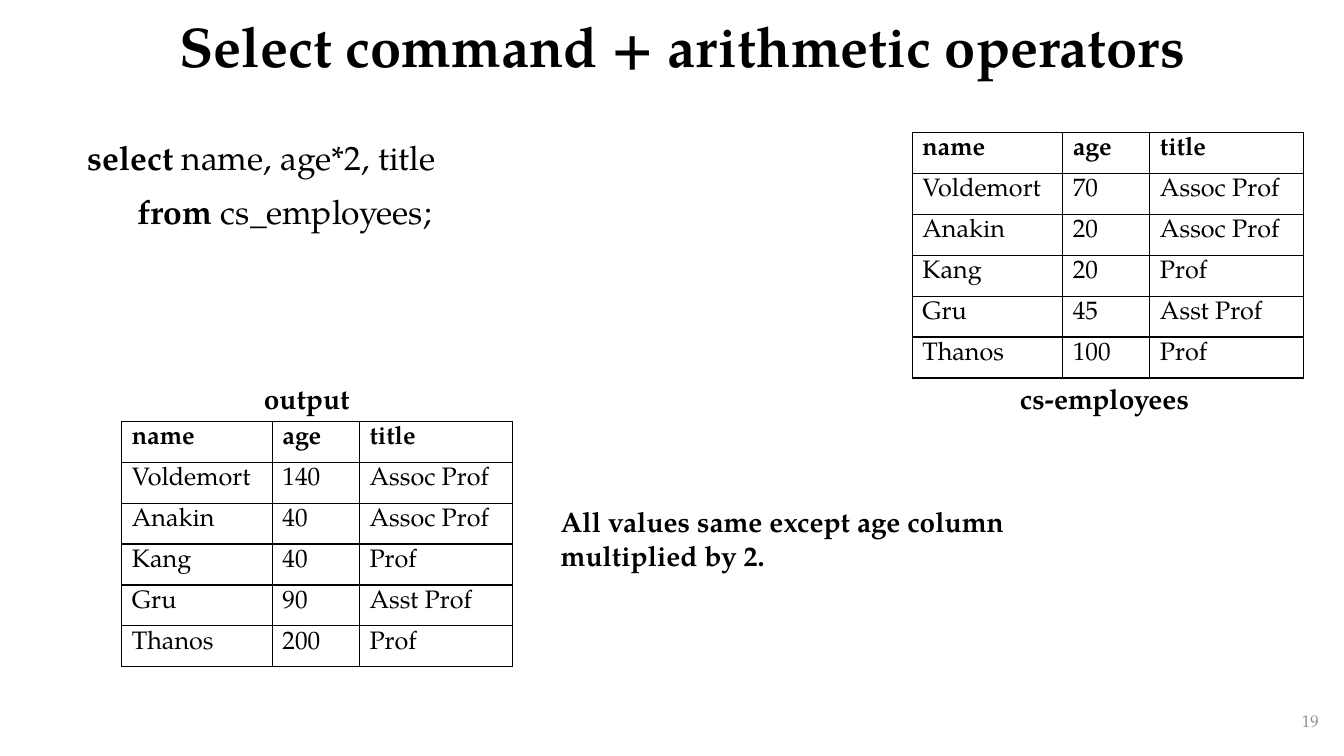
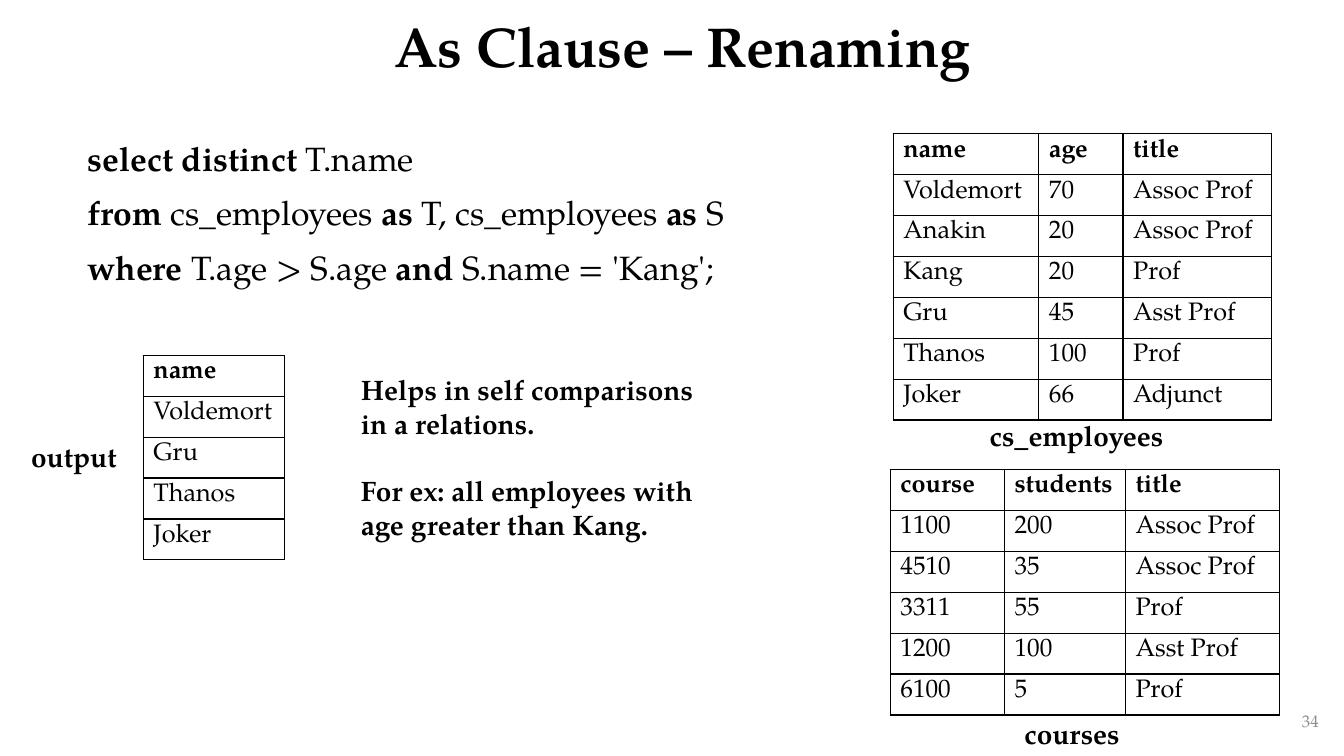
import pptx
import pptx.dml.color
import pptx.enum.text
import pptx.oxml
import pptx.oxml.ns
import pptx.util

Pt = pptx.util.Pt
ALIGN = pptx.enum.text.PP_ALIGN
ANCHOR = pptx.enum.text.MSO_ANCHOR

FONT = "TeX Gyre Pagella"
INK = "000000"
GREY = "8C8C8C"
TITLE_BOX = (73.4, 0, 828, 70.6)
NUMBER_BOX = (733, 500.4, 216, 28.8)
ROW_H = 29.2
EMPLOYEE_COLS = (107.6, 62.2, 109.6)


def color(value):
    return pptx.dml.color.RGBColor.from_string(value)


def style(font, size, bold=None, ink=INK):
    font.name = FONT
    font.size = Pt(size)
    font.bold = bold
    font.color.rgb = color(ink)


def add_text(slide, box, lines, size, bold=True, ink=INK, align=ALIGN.LEFT,
             anchor=ANCHOR.TOP, gap=0, spacing=None):
    sp = slide.shapes.add_textbox(*map(Pt, box))
    tf = sp.text_frame
    tf.word_wrap = True
    tf.vertical_anchor = anchor
    for i, line in enumerate(lines):
        p = tf.paragraphs[0] if i == 0 else tf.add_paragraph()
        style(p.font, size, bold, ink)
        p.alignment = align
        p.line_spacing = spacing
        p.space_before = Pt(gap if i else 0)
        p.add_run().text = line


def add_query(slide, box, lines):
    tf = slide.shapes.add_textbox(*map(Pt, box)).text_frame
    tf.word_wrap = True
    for i, parts in enumerate(lines):
        p = tf.paragraphs[0] if i == 0 else tf.add_paragraph()
        style(p.font, 24)
        p.alignment = ALIGN.JUSTIFY
        p.space_before = Pt(10)
        for text, bold in parts:
            r = p.add_run()
            r.text = text
            r.font.bold = bold


def add_borders(cell):
    tc_pr = cell._tc.get_or_add_tcPr()
    for i, side in enumerate(("lnL", "lnR", "lnT", "lnB")):
        tc_pr.insert(i, pptx.oxml.parse_xml(
            f'<a:{side} {pptx.oxml.ns.nsdecls("a")} w="{Pt(1)}">'
            f'<a:solidFill><a:srgbClr val="{INK}"/></a:solidFill></a:{side}>'))


def add_relation(slide, left, top, widths, rows):
    frame = slide.shapes.add_table(
        len(rows), len(widths), Pt(left), Pt(top),
        Pt(sum(widths)), Pt(ROW_H * len(rows)))
    table = frame.table
    table.horz_banding = False
    table.first_row = False
    for column, width in zip(table.columns, widths):
        column.width = Pt(width)
    for i, values in enumerate(rows):
        table.rows[i].height = Pt(ROW_H)
        for j, value in enumerate(values):
            cell = table.cell(i, j)
            cell.fill.background()
            add_borders(cell)
            p = cell.text_frame.paragraphs[0]
            style(p.font, 18, i == 0)
            p.add_run().text = value


def add_caption(slide, left, top, width, text, align=ALIGN.LEFT):
    add_text(slide, (left, top, width, 31.5), [text], 20, align=align)


def add_slide(prs, title, number):
    slide = prs.slides.add_slide(prs.slide_layouts[6])
    add_text(slide, TITLE_BOX, [title], 40, align=ALIGN.CENTER,
             anchor=ANCHOR.MIDDLE, spacing=0.9)
    add_text(slide, NUMBER_BOX, [number], 12, False, GREY, ALIGN.RIGHT,
             ANCHOR.MIDDLE)
    return slide


EMPLOYEES = [
    ("name", "age", "title"),
    ("Voldemort", "70", "Assoc Prof"),
    ("Anakin", "20", "Assoc Prof"),
    ("Kang", "20", "Prof"),
    ("Gru", "45", "Asst Prof"),
    ("Thanos", "100", "Prof"),
]
DOUBLED = EMPLOYEES[:1] + [
    (name, str(int(age) * 2), title) for name, age, title in EMPLOYEES[1:]]
COURSES = [
    ("course", "students", "title"),
    ("1100", "200", "Assoc Prof"),
    ("4510", "35", "Assoc Prof"),
    ("3311", "55", "Prof"),
    ("1200", "100", "Asst Prof"),
    ("6100", "5", "Prof"),
]
OLDER = [("name",), ("Voldemort",), ("Gru",), ("Thanos",), ("Joker",)]


def arithmetic_slide(prs):
    slide = add_slide(prs, "Select command + arithmetic operators", "19")
    add_query(slide, (55.4, 94.3, 728, 402), [
        [("select", True), (" name, age*2, title", False)],
        [("\tfrom ", True), ("cs_employees;", False)],
    ])
    add_relation(slide, 651.6, 94.8, EMPLOYEE_COLS, EMPLOYEES)
    add_caption(slide, 721.4, 268.8, 144.7, "cs-employees")
    add_caption(slide, 181.4, 269.2, 87.1, "output")
    add_relation(slide, 87, 301, EMPLOYEE_COLS, DOUBLED)
    add_text(slide, (393.4, 357, 385, 55.7),
             ["All values same except age column multiplied by 2."], 20)


def renaming_slide(prs):
    slide = add_slide(prs, "As Clause – Renaming", "34")
    add_query(slide, (55.4, 95, 882, 402), [
        [("select distinct ", True), ("T.name", False)],
        [("from ", True), ("cs_employees ", False), ("as", True),
         (" T, cs_employees ", False), ("as", True), (" S", False)],
        [("where ", True), ("T.age > S.age ", False), ("and ", True),
         ("S.name = 'Kang';", False)],
    ])
    add_relation(slide, 638, 95.6, (104.1, 60.1, 106),
                 EMPLOYEES + [("Joker", "66", "Adjunct")])
    add_caption(slide, 699.8, 295.4, 144.7, "cs_employees")
    add_relation(slide, 636, 335.5, (81.5, 86.4, 109.8), COURSES)
    add_caption(slide, 693.4, 508.3, 144.7, "courses", ALIGN.CENTER)
    add_caption(slide, 15.1, 310.5, 87.1, "output")
    add_relation(slide, 102.4, 253.9, (100.8,), OLDER)
    add_text(slide, (250.6, 262.8, 258.5, 128.2),
             ["Helps in self comparisons in a relations.",
              "For ex: all employees with age greater than Kang."], 20, gap=24)


def main():
    prs = pptx.Presentation()
    prs.slide_width = Pt(960)
    prs.slide_height = Pt(540)
    arithmetic_slide(prs)
    renaming_slide(prs)
    prs.save("out.pptx")


if __name__ == "__main__":
    main()
